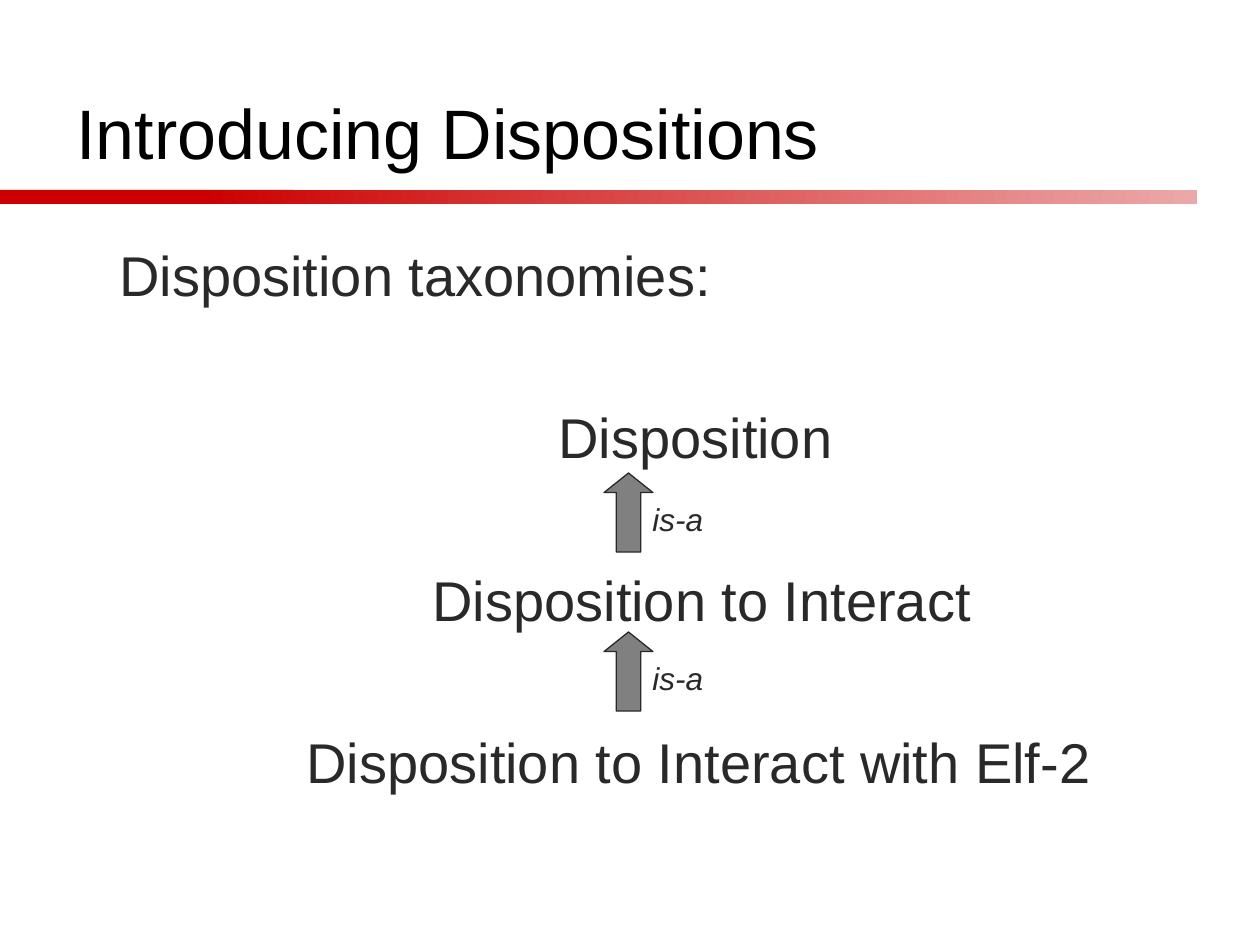
from dataclasses import dataclass

from pptx import Presentation
from pptx.dml.color import RGBColor
from pptx.enum.shapes import MSO_SHAPE
from pptx.enum.text import MSO_ANCHOR
from pptx.util import Pt

PX = 914400 // 126
RECTANGLE = MSO_SHAPE.RECTANGLE
UP_ARROW = MSO_SHAPE.UP_ARROW
TOP = MSO_ANCHOR.TOP
BOTTOM = MSO_ANCHOR.BOTTOM


@dataclass(frozen=True)
class Theme:
    font: str = "Arial"
    title_size: int = 40
    body_size: int = 32
    label_size: int = 18
    black: RGBColor = RGBColor(0x00, 0x00, 0x00)
    ink: RGBColor = RGBColor(0x29, 0x29, 0x29)
    gray: RGBColor = RGBColor(0x80, 0x80, 0x80)
    red: RGBColor = RGBColor(0xCC, 0x00, 0x00)
    pink: RGBColor = RGBColor(0xEC, 0xA8, 0xA8)


THEME = Theme()


def emu(box):
    return [value * PX for value in box]


def set_values(target, values):
    for name, value in values.items():
        setattr(target, name, value)


def add_text(page, box, lines, size, color, italic=False, anchor=TOP,
             wrap=True, spacing=None, gap=0):
    frame = page.shapes.add_textbox(*emu(box)).text_frame
    set_values(frame, {"word_wrap": wrap, "vertical_anchor": anchor})
    for index, (text, indent) in enumerate(lines):
        para = frame.add_paragraph() if index else frame.paragraphs[0]
        para._p.get_or_add_pPr().set("marL", str(indent * PX))
        if index:
            para.space_before = Pt(gap)
        if spacing:
            para.line_spacing = spacing
        span = para.add_run()
        span.text = text
        set_values(span.font, {"name": THEME.font, "size": Pt(size),
                               "italic": italic})
        span.font.color.rgb = color


def add_shape(page, kind, box):
    shape = page.shapes.add_shape(kind, *emu(box))
    shape.shadow.inherit = False
    return shape


def add_header(page, box):
    left, top, width, height = box
    rule_top, rule_height, solid_width, fade_left = top + 190, 14, 294, 199
    add_text(page, (left + 64, top + 6, 1111, 175),
             [("Introducing Dispositions", 0)],
             THEME.title_size, THEME.black, anchor=BOTTOM, spacing=0.9)
    solid = add_shape(page, RECTANGLE,
                      (left, rule_top, solid_width, rule_height))
    solid.fill.solid()
    solid.fill.fore_color.rgb = THEME.red
    fade = add_shape(page, RECTANGLE,
                     (left + fade_left, rule_top, width - fade_left, rule_height))
    fade.fill.gradient()
    fade.fill.gradient_angle = 0
    for stop, color in zip(fade.fill.gradient_stops, (THEME.red, THEME.pink)):
        stop.color.rgb = color
    for bar in (solid, fade):
        bar.line.fill.background()


def add_is_a(page, box):
    left, top, width, height = box
    arrow = add_shape(page, UP_ARROW, box)
    arrow.adjustments[0] = 0.5
    arrow.adjustments[1] = 0.4
    arrow.fill.solid()
    arrow.fill.fore_color.rgb = THEME.gray
    arrow.line.color.rgb = THEME.ink
    arrow.line.width = Pt(0.75)
    add_text(page, (left + 36, top + 21, 76, 50), [("is-a", 0)],
             THEME.label_size, THEME.ink, italic=True, wrap=False)


def add_taxonomy(page, box):
    left, top, width, height = box
    tab, first_tab, arrow_pitch = 126, 61, 159
    lines = [("Disposition taxonomies:", 0)]
    names = ("Disposition", "Disposition to Interact",
             "Disposition to Interact with Elf-2")
    for depth, name in enumerate(names):
        lines.append((name, first_tab + (len(names) - depth) * tab))
    add_text(page, box, lines, THEME.body_size, THEME.ink, gap=54.5)
    for step in range(len(names) - 1):
        add_is_a(page, (left + 497, top + 239 + step * arrow_pitch, 49, 79))


def main():
    deck = Presentation()
    set_values(deck, {"slide_width": 1260 * PX, "slide_height": 945 * PX})
    page = deck.slides.add_slide(deck.slide_layouts[6])
    add_header(page, (0, 0, 1197, 204))
    add_taxonomy(page, (107, 234, 1121, 645))
    deck.save("out.pptx")


if __name__ == "__main__":
    main()
